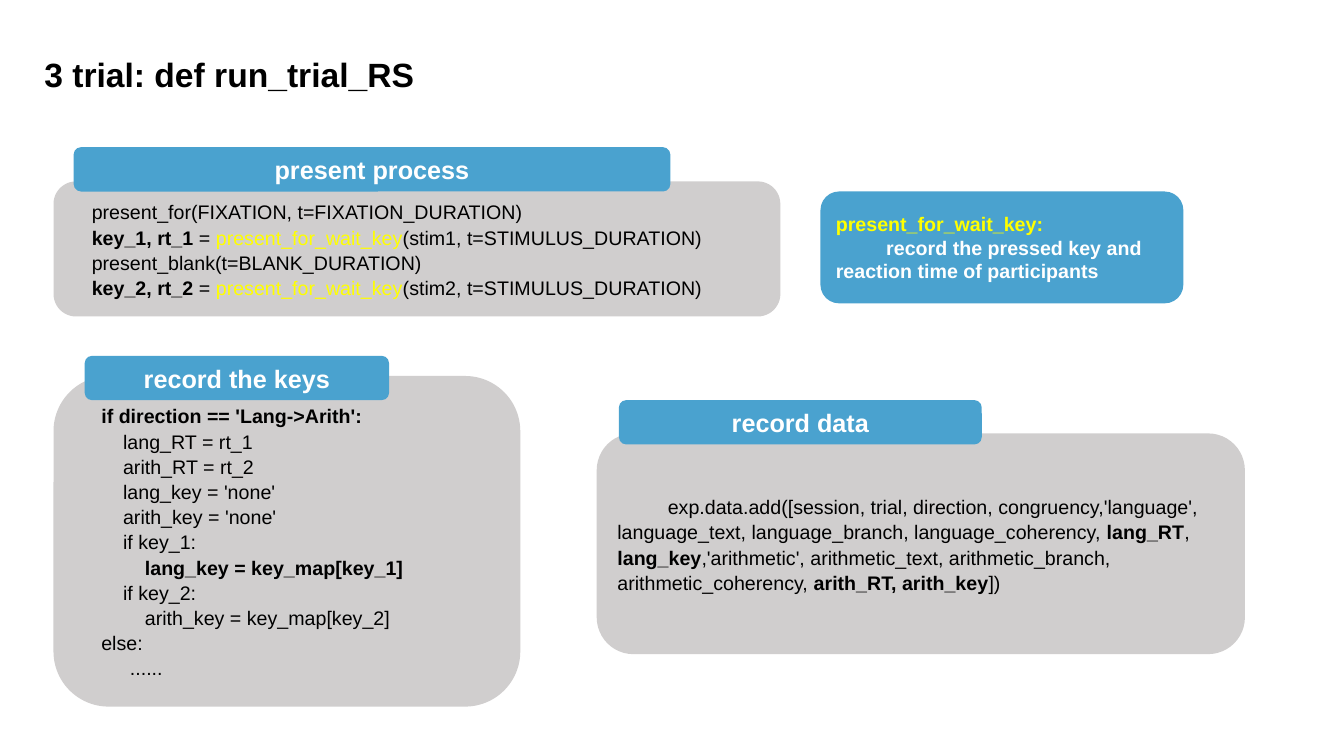
import pptx
import pptx.util
import pptx.dml.color
import pptx.enum.shapes
import pptx.enum.text

WIDE, HIGH = 13.33, 7.5
BLUE, GREY, YELLOW = "4AA2CF", "D0CECE", "FFFF00"
BLACK, WHITE = "000000", "FFFFFF"
ALIGN = pptx.enum.text.PP_ALIGN
STEP = 0.216  # inches per code indent level
FIRST = 0.5   # inches of first-line indent
BAND = 5.87   # header height, percent of the slide

CODE = {"size": 14, "color": BLACK}
HEAD = {"size": 18, "color": WHITE, "bold": True}
TITLE = {"size": 24, "color": BLACK, "bold": True}
NOTE = {"size": 14, "color": WHITE, "bold": True}
BOLD = {"bold": True}
MARK = {"color": YELLOW}


def paint(fill, color):
    fill.solid()
    fill.fore_color.rgb = pptx.dml.color.RGBColor.from_string(color)


def area(left, top, width, height):
    """Turn percentages of the slide into lengths."""
    sides = (WIDE, HIGH, WIDE, HIGH)
    shares = (left, top, width, height)
    return [pptx.util.Inches(side * part / 100)
            for side, part in zip(sides, shares)]


def style(font, form):
    values = {"name": "Arial", "bold": False, **form}
    paint(font.fill, values.pop("color"))
    values["size"] = pptx.util.Pt(values["size"])
    for key, value in values.items():
        setattr(font, key, value)


def write(frame, lines, base, align=ALIGN.LEFT, space=None):
    """Fill a frame with lines of (level, first indent, runs)."""
    frame.word_wrap = True
    frame.vertical_anchor = pptx.enum.text.MSO_ANCHOR.MIDDLE
    for row, (level, first, runs) in enumerate(lines):
        para = frame.paragraphs[0] if row == 0 else frame.add_paragraph()
        form = {"alignment": align, "line_spacing": space}
        for key, value in form.items():
            setattr(para, key, value)
        props = para._p.get_or_add_pPr()
        props.set("marL", str(pptx.util.Inches(level * STEP)))
        props.set("indent", str(pptx.util.Inches(first)))
        for text, extra in runs:
            run = para.add_run()
            run.text = text
            style(run.font, {**base, **extra})


def line(text, level=0, first=0, **extra):
    return level, first, [(text, extra)]


def box(slide, place, color):
    kind = pptx.enum.shapes.MSO_SHAPE.ROUNDED_RECTANGLE
    shape = slide.shapes.add_shape(kind, *area(*place))
    shape.shadow.inherit = False
    shape.line.fill.background()
    paint(shape.fill, color)
    return shape.text_frame


def panel(slide, place, lines, tab, name):
    """Draw a grey code box with a blue header over its top edge."""
    write(box(slide, place, GREY), lines, CODE, space=pptx.util.Pt(18))
    write(box(slide, (*tab, BAND), BLUE), [line(name)], HEAD, ALIGN.CENTER)


def call(number):
    """Return the code line that shows one stimulus."""
    return 1, 0, [(f"key_{number}, rt_{number}", BOLD), (" = ", {}),
                  ("present_for_wait_key", MARK),
                  (f"(stim{number}, t=STIMULUS_DURATION)", {})]


def main():
    deck = pptx.Presentation()
    deck.slide_width = pptx.util.Inches(WIDE)
    deck.slide_height = pptx.util.Inches(HIGH)
    slide = deck.slides.add_slide(deck.slide_layouts[5])

    title = slide.shapes.title
    place = area(2.55, 5.87, 71.18, 8.4)
    for key, value in zip(("left", "top", "width", "height"), place):
        setattr(title, key, value)
    write(title.text_frame, [line("3 trial: def run_trial_RS")], TITLE,
          space=0.9)

    show = [
        line("present_for(FIXATION, t=FIXATION_DURATION)", 1),
        call(1),
        line("present_blank(t=BLANK_DURATION)", 1),
        call(2),
    ]
    panel(slide, (3.98, 24, 54.08, 17.87), show,
          (5.48, 19.47, 44.4), "present process")

    keys = [
        line("if direction == 'Lang->Arith':", 1, bold=True),
        line("lang_RT = rt_1", 2),
        line("arith_RT = rt_2", 2),
        line("lang_key = 'none'", 2),
        line("arith_key = 'none'", 2),
        line("if key_1:", 2),
        line("lang_key = key_map[key_1]", 3, bold=True),
        line("if key_2:", 2),
        line("arith_key = key_map[key_2]", 3),
        line("else:", 1),
        line("......", first=FIRST),
    ]
    panel(slide, (3.98, 49.73, 34.73, 43.73), keys,
          (6.3, 47.07, 22.65), "record the keys")

    data = [(0, FIRST, [
        ("exp.data.add([session, trial, direction, congruency,'language', "
         "language_text, language_branch, language_coherency, ", {}),
        ("lang_RT", BOLD), (", ", {}), ("lang_key", BOLD),
        (",'arithmetic', arithmetic_text, arithmetic_branch, "
         "arithmetic_coherency, ", {}),
        ("arith_RT, arith_key", BOLD), ("])", {}),
    ])]
    panel(slide, (44.4, 57.33, 48.23, 29.2), data,
          (46.05, 52.93, 27), "record data")

    note = [
        line("present_for_wait_key:", **MARK),
        line("record the pressed key and reaction time of participants",
             first=FIRST),
    ]
    write(box(slide, (61.05, 25.33, 27, 14.8), BLUE), note, NOTE)

    deck.save("out.pptx")


if __name__ == "__main__":
    main()
